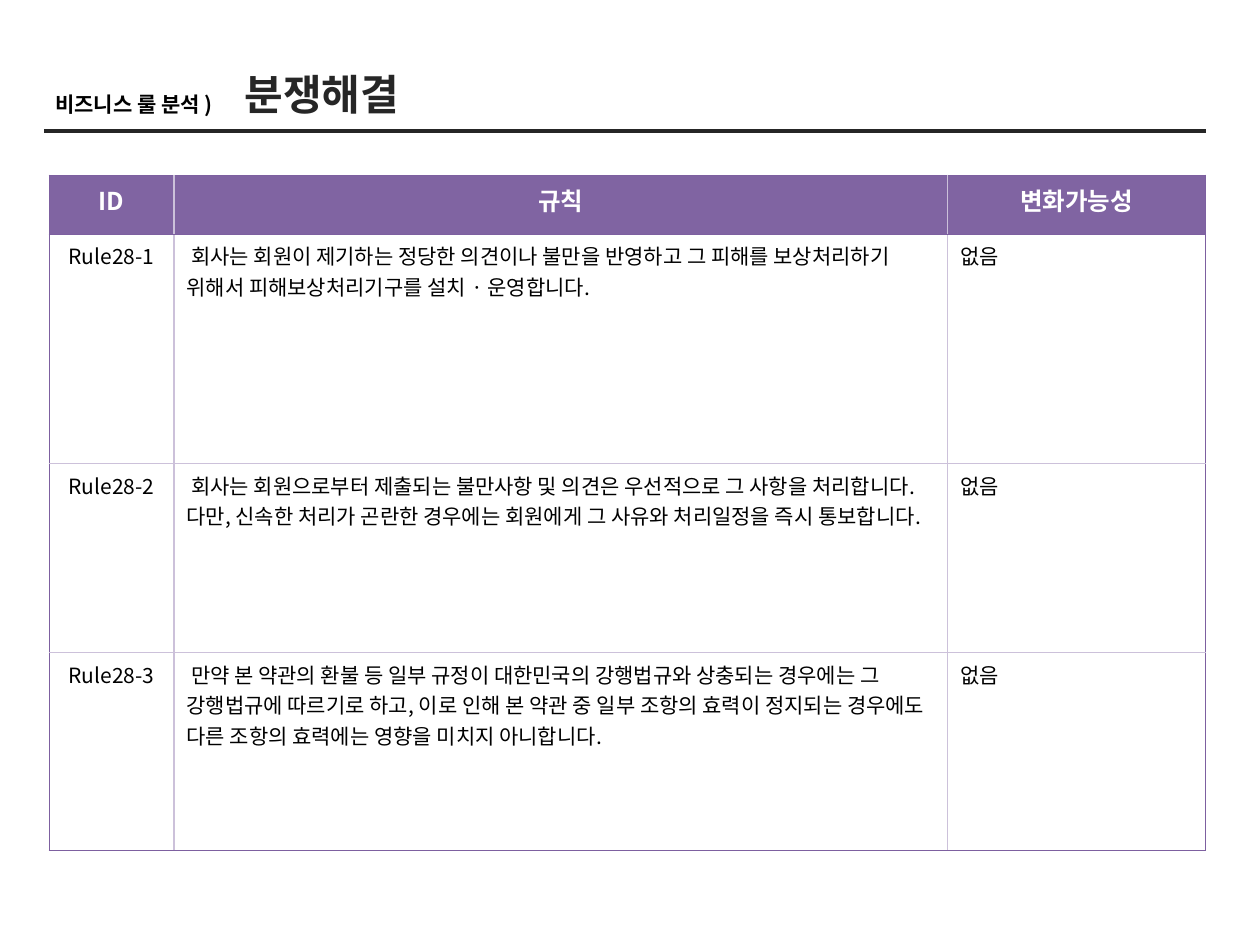
from lxml.etree import SubElement
from pptx import Presentation
from pptx.dml.color import RGBColor
from pptx.enum.shapes import MSO_CONNECTOR
from pptx.enum.text import MSO_ANCHOR, MSO_AUTO_SIZE, PP_ALIGN
from pptx.oxml.ns import qn
from pptx.util import Inches, Pt

COLORS = {
    "ink": "262626", "text": "000000", "white": "FFFFFF",
    "header": "8064A2", "frame": "7D60A0", "grid": "CCC1DA",
}
SANS = "Noto Sans CJK KR"
LABEL = {"name": SANS, "size": Pt(12), "bold": True}
TITLE = {"name": "Arial", "size": Pt(24), "bold": True}
HEADER = {"name": SANS, "size": Pt(14), "bold": True}
BODY = {"name": SANS, "size": Pt(12), "bold": False}

COLUMN_WIDTHS = [0.99, 6.14, 2.05]
ROW_HEIGHTS = [0.47, 1.82, 1.5, 1.57]
RULES = [
    ("ID", "규칙", "변화가능성"),
    ("Rule28-1", " 회사는 회원이 제기하는 정당한 의견이나 불만을 반영하고 그 피해를 보상처리하기 "
     "위해서 피해보상처리기구를 설치 · 운영합니다.", "없음"),
    ("Rule28-2", " 회사는 회원으로부터 제출되는 불만사항 및 의견은 우선적으로 그 사항을 처리합니다. "
     "다만, 신속한 처리가 곤란한 경우에는 회원에게 그 사유와 처리일정을 즉시 통보합니다.", "없음"),
    ("Rule28-3", " 만약 본 약관의 환불 등 일부 규정이 대한민국의 강행법규와 상충되는 경우에는 그 "
     "강행법규에 따르기로 하고, 이로 인해 본 약관 중 일부 조항의 효력이 정지되는 "
     "경우에도 다른 조항의 효력에는 영향을 미치지 아니합니다.", "없음"),
]


def color(name):
    return RGBColor.from_string(COLORS[name])


def write(frame, text, style, ink, align=PP_ALIGN.LEFT):
    para = frame.paragraphs[0]
    para.alignment = align
    span = para.add_run()
    span.text = text
    for key, value in style.items():
        setattr(span.font, key, value)
    span.font.color.rgb = color(ink)
    SubElement(span.font._element, qn("a:ea"), typeface=style["name"])


def place_text(shape, box, text, style, ink):
    shape.left, shape.top, shape.width, shape.height = map(Inches, box)
    frame = shape.text_frame
    frame.word_wrap = True
    frame.auto_size = MSO_AUTO_SIZE.NONE
    frame.vertical_anchor = MSO_ANCHOR.MIDDLE
    write(frame, text, style, ink)


def add_heading(page, left, top, width):
    label = page.shapes.add_textbox(0, 0, 0, 0)
    place_text(label, (left, top + 0.19, 1.62, 0.3), "비즈니스 룰 분석 )", LABEL, "text")
    place_text(page.shapes.title, (left + 1.5, top, 1.55, 0.5), "분쟁해결", TITLE, "ink")
    start, end, level = map(Inches, (left + 0.01, left + width, top + 0.55))
    rule = page.shapes.add_connector(MSO_CONNECTOR.STRAIGHT, start, level, end, level)
    rule.line.color.rgb = color("ink")
    rule.line.width = Pt(2.25)
    SubElement(rule._element.spPr, qn("a:effectLst"))


def set_borders(cell, row, column):
    last_row, last_column = len(ROW_HEIGHTS) - 1, len(COLUMN_WIDTHS) - 1
    framed = {
        "a:lnL": column == 0,
        "a:lnR": column == last_column,
        "a:lnT": row <= 1,
        "a:lnB": row in (0, last_row),
    }
    properties = cell._tc.get_or_add_tcPr()
    for tag, is_frame in framed.items():
        width = Pt(0.75 if is_frame else 1)
        line = SubElement(properties, qn(tag), w=str(width))
        fill = SubElement(line, qn("a:solidFill"))
        SubElement(fill, qn("a:srgbClr"), val=COLORS["frame" if is_frame else "grid"])


def add_rules_table(page, left, top):
    box = map(Inches, (left, top, sum(COLUMN_WIDTHS), sum(ROW_HEIGHTS)))
    table = page.shapes.add_table(len(RULES), len(COLUMN_WIDTHS), *box).table
    table.first_row = table.horz_banding = False
    for column, width in zip(table.columns, COLUMN_WIDTHS):
        column.width = Inches(width)
    for row, height in zip(table.rows, ROW_HEIGHTS):
        row.height = Inches(height)
    for r, texts in enumerate(RULES):
        for c, text in enumerate(texts):
            cell = table.cell(r, c)
            set_borders(cell, r, c)
            align = PP_ALIGN.CENTER if r == 0 or c == 0 else PP_ALIGN.LEFT
            if r == 0:
                cell.fill.solid()
                cell.fill.fore_color.rgb = color("header")
                write(cell.text_frame, text, HEADER, "white", align)
            else:
                cell.fill.background()
                write(cell.text_frame, text, BODY, "text", align)


def main():
    deck = Presentation()
    deck.slide_width, deck.slide_height = Inches(10), Inches(7.5)
    page = deck.slides.add_slide(deck.slide_layouts[5])
    add_rules_table(page, 0.39, 1.39)
    add_heading(page, 0.34, 0.49, 9.23)
    deck.save("out.pptx")


if __name__ == "__main__":
    main()
